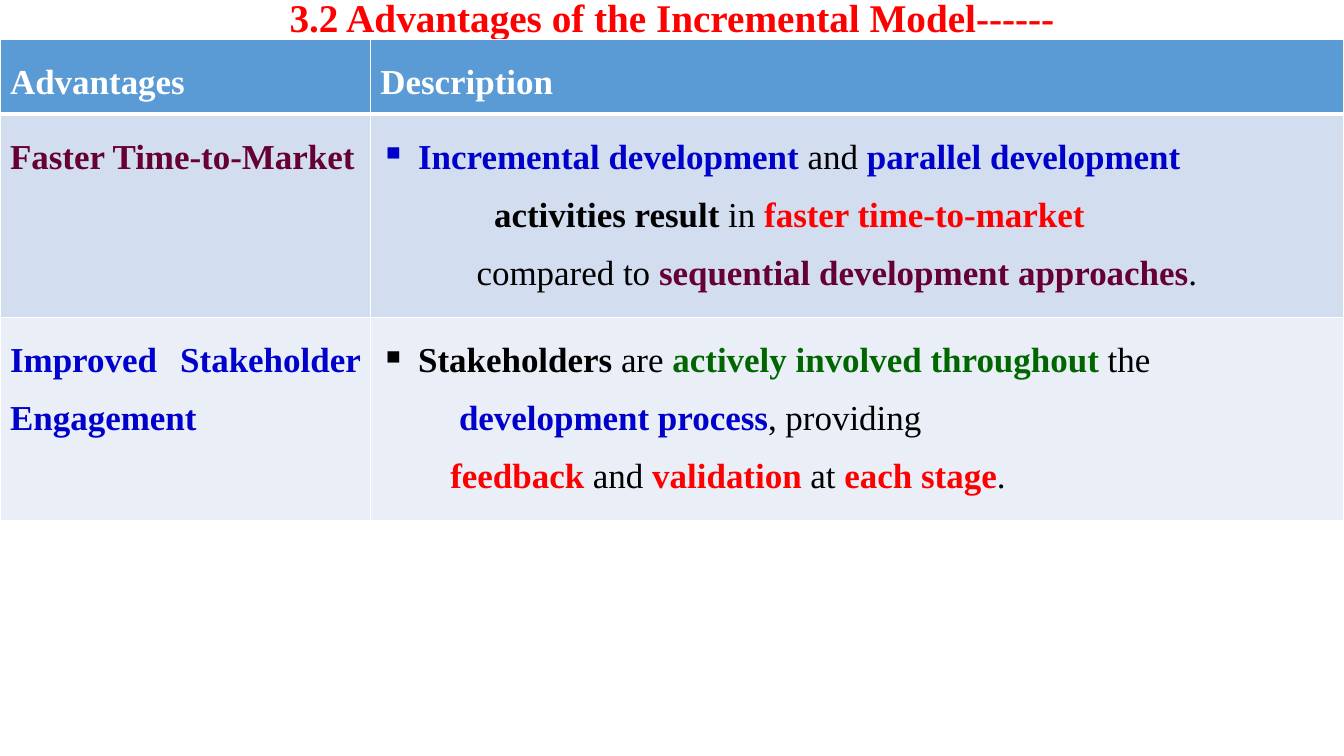
from dataclasses import dataclass

from lxml.etree import SubElement
from pptx import Presentation
from pptx.dml.color import RGBColor
from pptx.enum.text import MSO_ANCHOR, MSO_AUTO_SIZE, PP_ALIGN
from pptx.oxml import parse_xml
from pptx.oxml.ns import nsdecls, qn
from pptx.util import Pt

FONT = "Times New Roman"
COLORS = {
    "red": "FF0000", "white": "FFFFFF", "black": "000000",
    "plum": "660033", "blue": "0000CC", "green": "006600",
    "header": "5B9BD5", "band_dark": "D2DEEF", "band_light": "EAEFF7",
}
COL_WIDTHS = (264.5, 695.5)
ROW_HEIGHTS = (53.3, 145.4, 145.4)
BULLET_INDENT = 27


@dataclass
class Run:
    text: str
    color: str = "black"
    bold: bool = True


@dataclass
class Line:
    runs: list[Run]
    indent: float = 0
    bullet: bool = False


@dataclass
class Row:
    fill: str
    cells: list[list[Line]]


def plain(text: str) -> Run:
    return Run(text, bold=False)


ROWS = [
    Row("header", [
        [Line([Run("Advantages", "white")])],
        [Line([Run("Description", "white")])],
    ]),
    Row("band_dark", [
        [Line([Run("Faster Time-to-Market", "plum")])],
        [
            Line([Run("Incremental development", "blue"), plain(" and "),
                  Run("parallel development", "blue")], BULLET_INDENT, True),
            Line([Run("activities result"), plain(" in "),
                  Run("faster time-to-market", "red")], 81.25),
            Line([plain("compared to "),
                  Run("sequential development approaches", "plum"), plain(".")], 68.75),
        ],
    ]),
    Row("band_light", [
        [Line([Run("Improved Stakeholder Engagement", "blue")])],
        [
            Line([Run("Stakeholders"), plain(" are "),
                  Run("actively involved throughout", "green"), plain(" the")],
                 BULLET_INDENT, True),
            Line([Run("development process", "blue"), plain(", providing")], 56.25),
            Line([Run("feedback", "red"), plain(" and "), Run("validation", "red"),
                  plain(" at "), Run("each stage", "red"), plain(".")], 50),
        ],
    ]),
]


def rgb(name: str) -> RGBColor:
    return RGBColor.from_string(COLORS[name])


def add_run(p, run: Run, size: float) -> None:
    r = p.add_run()
    r.text = run.text
    r.font.name = FONT
    r.font.size = Pt(size)
    r.font.bold = run.bold
    r.font.color.rgb = rgb(run.color)


def add_line(p, line: Line) -> None:
    pPr = p._p.get_or_add_pPr()
    pPr.set("marL", str(Pt(line.indent)))
    pPr.set("indent", str(Pt(-line.indent if line.bullet else 0)))
    if line.bullet:
        SubElement(pPr, qn("a:buChar")).set("char", "▪")
    p.alignment = PP_ALIGN.JUSTIFY
    p.line_spacing = 1.5
    for run in line.runs:
        add_run(p, run, 25)


def set_borders(cell, bottom: float) -> None:
    tcPr = cell._tc.get_or_add_tcPr()
    widths = {"lnL": 1, "lnR": 1, "lnT": 1, "lnB": bottom}
    for i, (side, width) in enumerate(widths.items()):
        tcPr.insert(i, parse_xml(
            f'<a:{side} {nsdecls("a")} w="{Pt(width)}"><a:solidFill>'
            f'<a:srgbClr val="{COLORS["white"]}"/></a:solidFill></a:{side}>'))


def add_title(s, text: str) -> None:
    sp = s.shapes.title
    sp.left, sp.top, sp.width, sp.height = Pt(66), Pt(0), Pt(828), Pt(28)
    tf = sp.text_frame
    tf.auto_size = MSO_AUTO_SIZE.NONE
    tf.vertical_anchor = MSO_ANCHOR.MIDDLE
    p = tf.paragraphs[0]
    p.alignment = PP_ALIGN.CENTER
    p.line_spacing = 0.9
    add_run(p, Run(text, "red"), 28)


def add_advantages_table(s) -> None:
    table = s.shapes.add_table(
        len(ROWS), len(COL_WIDTHS), Pt(0), Pt(28),
        Pt(sum(COL_WIDTHS)), Pt(sum(ROW_HEIGHTS))).table
    for column, width in zip(table.columns, COL_WIDTHS):
        column.width = Pt(width)
    for i, (row, height) in enumerate(zip(ROWS, ROW_HEIGHTS)):
        table.rows[i].height = Pt(height)
        for j, lines in enumerate(row.cells):
            cell = table.cell(i, j)
            cell.fill.solid()
            cell.fill.fore_color.rgb = rgb(row.fill)
            set_borders(cell, 3 if i == 0 else 1)
            tf = cell.text_frame
            for k, line in enumerate(lines):
                add_line(tf.add_paragraph() if k else tf.paragraphs[0], line)


def main() -> None:
    prs = Presentation()
    prs.slide_width, prs.slide_height = Pt(960), Pt(540)
    s = prs.slides.add_slide(prs.slide_layouts[5])
    add_title(s, "3.2 Advantages of the Incremental Model------")
    add_advantages_table(s)
    prs.save("out.pptx")


if __name__ == "__main__":
    main()
